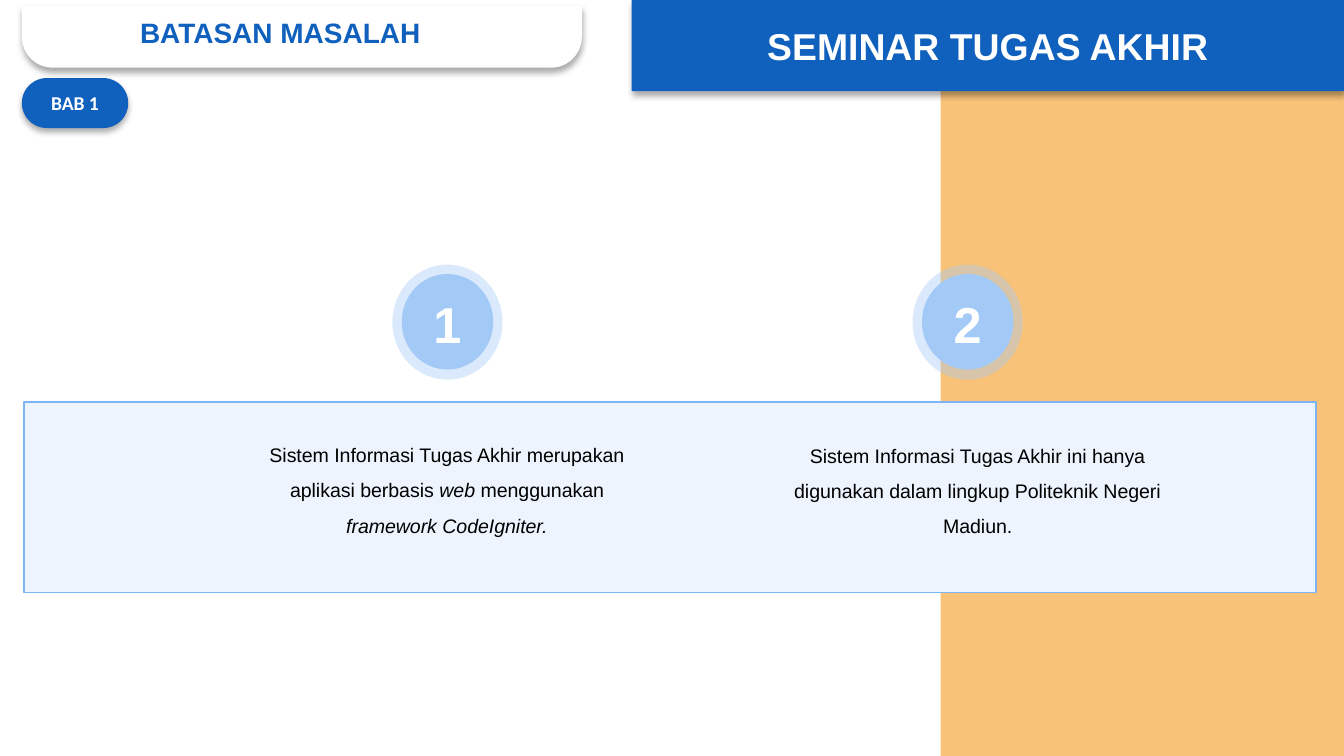
"""Build the slide on the limits of the problem for a final project seminar."""
from lxml import etree
from pptx import Presentation
from pptx.dml.color import RGBColor
from pptx.enum import shapes, text
from pptx.oxml import ns
from pptx.util import Pt

BLUE = RGBColor(0x10, 0x60, 0xBD)
SKY = RGBColor(0xA3, 0xCA, 0xF7)
PALE = RGBColor(0xED, 0xF4, 0xFD)
EDGE = RGBColor(0x7D, 0xB4, 0xF4)
SAND = RGBColor(0xF8, 0xC3, 0x79)
WHITE = RGBColor(255, 255, 255)
BLACK = RGBColor(0, 0, 0)
KIND = shapes.MSO_SHAPE


def draw(home, kind, box, fill, shade=False):
    item = home.add_shape(kind, *map(Pt, box))
    item.shadow.inherit = False
    item.fill.solid()
    item.fill.fore_color.rgb = fill
    item.line.fill.background()
    if shade:
        list_ = item.element.spPr.find(ns.qn("a:effectLst"))
        glow = etree.SubElement(list_, ns.qn("a:outerShdw"), blurRad=str(Pt(3.5)),
                                dist=str(Pt(2.2)), dir="5400000", rotWithShape="0")
        tint = etree.SubElement(glow, ns.qn("a:srgbClr"), val="000000")
        etree.SubElement(tint, ns.qn("a:alpha"), val="32000")
    return item


def write(item, parts, size, color, bold=False, font="Arial", align=text.PP_ALIGN.CENTER):
    frame = item.text_frame
    frame.word_wrap = True
    para = frame.paragraphs[0]
    para.alignment = align
    for words, slant in parts:
        run = para.add_run()
        run.text = words
        run.font.name = font
        run.font.size = Pt(size)
        run.font.bold = bold
        run.font.italic = slant
        run.font.color.rgb = color
    return frame


deck = Presentation()
deck.slide_width, deck.slide_height = Pt(720), Pt(405)
slide = deck.slides.add_slide(deck.slide_layouts[5])
tree = slide.shapes

draw(tree, KIND.RECTANGLE, (504, 0, 216, 405), SAND)
band = draw(tree, KIND.RECTANGLE, (12.9, 215.3, 692, 102.2), PALE)
band.line.color.rgb = EDGE
band.line.width = Pt(1)

limits = [
    (239.7, 239.5, 227.5, 207,
     [("Sistem Informasi Tugas Akhir merupakan aplikasi berbasis ", False), ("web ", True),
      ("menggunakan ", False), ("framework CodeIgniter.", True)]),
    (518.4, 523.8, 228, 219.6,
     [("Sistem Informasi Tugas Akhir ini hanya digunakan dalam lingkup "
       "Politeknik Negeri Madiun.", False)]),
]
for num, (mid, axis, top, wide, parts) in enumerate(limits, 1):
    badge = tree.add_group_shape().shapes
    ring = draw(badge, KIND.OVAL, (mid - 29.5, 141.8, 59, 61.6), SKY)
    tint = ring.element.spPr.find(ns.qn("a:solidFill"))[0]
    etree.SubElement(tint, ns.qn("a:alpha"), val="40000")
    draw(badge, KIND.OVAL, (mid - 24.5, 146.8, 49, 51.2), SKY)
    label = badge.add_textbox(Pt(mid - 27.4), Pt(153.4), Pt(54.8), Pt(40))
    write(label, [(str(num), False)], 27, WHITE, True)
    note = tree.add_textbox(Pt(axis - wide / 2), Pt(top), Pt(wide), Pt(63))
    write(note, parts, 10.5, BLACK).paragraphs[0].line_spacing = 1.5

tab = draw(tree, KIND.ROUNDED_RECTANGLE, (11.7, 41.8, 57, 26.8), BLUE, True)
tab.adjustments[0] = 0.5
write(tab, [("BAB 1", False)], 10.5, WHITE, True, "Calibri")

card = draw(tree, KIND.ROUND_2_SAME_RECTANGLE, (11.7, 3.3, 300, 33), WHITE, True)
card.adjustments[0], card.adjustments[1] = 0, 0.5

head = draw(tree, KIND.RECTANGLE, (338.4, 0, 381.6, 48.8), BLUE, True)
write(head, [("SEMINAR TUGAS AKHIR", False)], 20, WHITE, True)

title = tree.title
title.left, title.top, title.width, title.height = Pt(75), Pt(3.3), Pt(220), Pt(28)
frame = write(title, [("BATASAN MASALAH", False)], 15, BLUE, True, align=text.PP_ALIGN.LEFT)
frame.auto_size = text.MSO_AUTO_SIZE.NONE
frame.vertical_anchor = text.MSO_ANCHOR.MIDDLE
frame.margin_left = frame.margin_right = frame.margin_top = frame.margin_bottom = 0
title.element.getparent().append(title.element)

deck.save("out.pptx")
